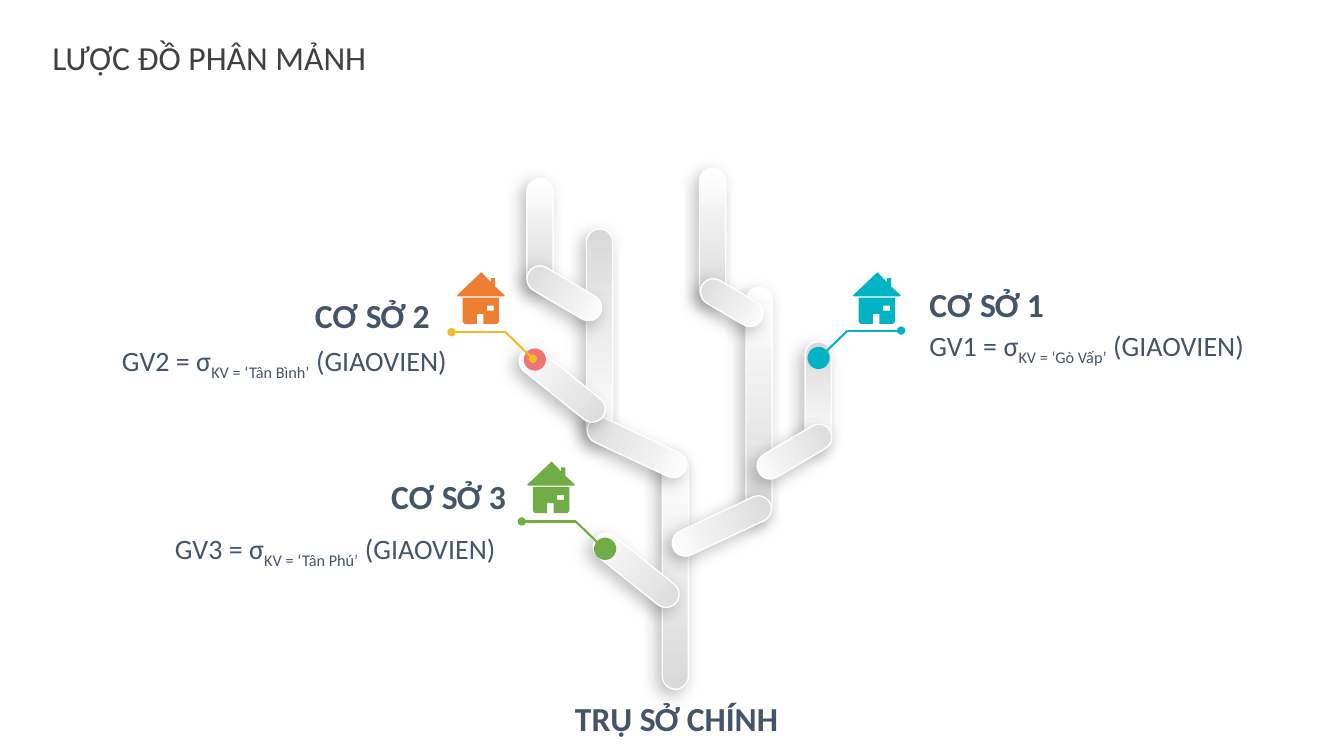
from dataclasses import dataclass

from lxml import etree
from pptx import Presentation
from pptx.dml.color import RGBColor
from pptx.enum.shapes import MSO_CONNECTOR, MSO_SHAPE
from pptx.enum.text import PP_ALIGN
from pptx.oxml.ns import qn
from pptx.util import Cm, Pt

LEFT, CENTER, RIGHT = PP_ALIGN.LEFT, PP_ALIGN.CENTER, PP_ALIGN.RIGHT
STRAIGHT = MSO_CONNECTOR.STRAIGHT
OVAL, ROUNDED = MSO_SHAPE.OVAL, MSO_SHAPE.ROUNDED_RECTANGLE


@dataclass(frozen=True)
class Theme:
    font: str = "Calibri"
    title: str = "404040"
    text: str = "445469"
    light: str = "FFFFFF"
    shade: str = "D9D9D9"
    shadow: str = "000000"
    teal: str = "02B3C5"
    coral: str = "F07474"
    yellow: str = "F1BE22"
    orange: str = "ED7D31"
    green: str = "70AD47"
    heading_size: int = 24
    formula_size: int = 20


THEME = Theme()

TREE_BOX = (13.2, 4.24)
BRANCH_WIDTH = 0.66
BRANCHES = [
    (3.49, 7.19, 5.94, 0, True),
    (2.5, 8.84, 2.59, 308.7, True),
    (1.58, 1.53, 5.31, 0, False),
    (2.52, 5.69, 2.69, 295.1, False),
    (5.6, 3.0, 5.84, 0, True),
    (4.66, 7.67, 2.69, 64.9, False),
    (4.43, 0, 3.38, 0, True),
    (4.91, 2.52, 1.73, 300.6, False),
    (7.09, 4.37, 2.67, 0, False),
    (6.49, 6.1, 2.08, 59.4, False),
    (0.08, 0.26, 2.79, 0, True),
    (0.69, 2.11, 2.08, 300.6, False),
    (0.64, 4.17, 2.59, 308.7, True),
]

HOUSE_UNIT = Cm(0.01)
ROOF = [(119, 61), (3, 61), (1, 58), (57, 5), (62, 0), (67, 5), (86, 25),
        (86, 15), (97, 15), (97, 36), (121, 58)]
WALLS = [(15, 64), (107, 64), (107, 125), (102, 130), (67, 130), (67, 105),
         (51, 105), (51, 130), (20, 130), (15, 125)]
WINDOW = [(94, 84), (76, 84), (76, 97), (94, 97)]

NODE_SIZE = 0.56
RIGHT_LEADER = [(-0.81, 2.13), (-0.13, 1.47), (1.22, 1.47)]
LEFT_LEADER = [(1.92, 2.18), (1.23, 1.51), (-0.13, 1.51)]
RIGHT_NODE, LEFT_NODE = (-0.86, 2.16), (1.97, 2.2)

CAMPUSES = [
    dict(box=(21.49, 6.86), number=1, area="Gò Vấp", align=LEFT,
         house=THEME.teal, wire=THEME.teal, dot=THEME.teal,
         leader=RIGHT_LEADER, node=RIGHT_NODE,
         heading=(1.93, 0.3), formula=(1.93, 1.42, 8.38, 0.86)),
    dict(box=(11.51, 6.86), number=2, area="Tân Bình", align=RIGHT,
         house=THEME.orange, wire=THEME.yellow, dot=THEME.coral,
         leader=LEFT_LEADER, node=LEFT_NODE,
         heading=(-6.12, 0.56), formula=(-10.26, 1.68, 10.26, 1.12)),
    dict(box=(13.28, 11.63), number=3, area="Tân Phú", align=RIGHT,
         house=THEME.green, wire=THEME.green, dot=THEME.green,
         leader=LEFT_LEADER, node=LEFT_NODE,
         heading=(-5.97, 0.36), formula=(-10.67, 1.63, 10.13, 1.12)),
]


def rgb(value):
    return RGBColor.from_string(value)


def add_label(slide, box, pieces, size, color, align=LEFT, bold=False, flush=True):
    frame = slide.shapes.add_textbox(*map(Cm, box)).text_frame
    frame.word_wrap = True
    if flush:
        frame.margin_left = frame.margin_right = 0
        frame.margin_top = frame.margin_bottom = 0
    paragraph = frame.paragraphs[0]
    paragraph.alignment = align
    font = paragraph.font
    font.name, font.size, font.bold = THEME.font, Pt(size), bold
    font.color.rgb = rgb(color)
    for words, baseline in pieces:
        run = paragraph.add_run()
        run.text = words
        if baseline:
            run._r.get_or_add_rPr().set("baseline", str(baseline * 1000))


def add_heading(slide, left, top, words, align):
    add_label(slide, (left, top, 5.44, 1.02), [(words, 0)],
              THEME.heading_size, THEME.text, align, bold=True)


def paint_flat(shape, color):
    shape.shadow.inherit = False
    shape.fill.solid()
    shape.fill.fore_color.rgb = rgb(color)
    shape.line.fill.background()


def cast_shadow(shape):
    effects = etree.SubElement(shape._element.spPr, qn("a:effectLst"))
    shadow = etree.SubElement(effects, qn("a:outerShdw"), blurRad=str(Pt(12)),
                              dist=str(Pt(5)), dir="8100000", rotWithShape="0")
    tint = etree.SubElement(shadow, qn("a:srgbClr"), val=THEME.shadow)
    etree.SubElement(tint, qn("a:alpha"), val="26000")


def add_tree(slide, box):
    for dx, dy, length, rotation, flipped in BRANCHES:
        branch = slide.shapes.add_shape(
            ROUNDED, Cm(box[0] + dx), Cm(box[1] + dy), Cm(BRANCH_WIDTH), Cm(length))
        branch.adjustments[0] = 0.5
        branch.rotation = rotation
        if flipped:
            branch._element.spPr.xfrm.set("flipV", "1")
        branch.fill.gradient()
        branch.fill.gradient_angle = 90
        for stop, color, position in zip(
                branch.fill.gradient_stops, (THEME.light, THEME.shade), (0, 1)):
            stop.color.rgb = rgb(color)
            stop.position = position
        branch.line.color.rgb = rgb(THEME.light)
        branch.line.width = Pt(1)
        cast_shadow(branch)


def add_wire(slide, start, end, color, oval_end):
    wire = slide.shapes.add_connector(STRAIGHT, *map(Cm, start + end))
    wire.line.color.rgb = rgb(color)
    wire.line.width = Pt(1.5)
    etree.SubElement(wire.line._get_or_add_ln(), qn(oval_end), type="oval")
    etree.SubElement(wire._element.spPr, qn("a:effectLst"))


def add_house(slide, left, top, color):
    builder = slide.shapes.build_freeform(*ROOF[0], scale=HOUSE_UNIT)
    builder.add_line_segments(ROOF[1:])
    for outline in (WALLS, WINDOW):
        builder.move_to(*outline[0])
        builder.add_line_segments(outline[1:])
    paint_flat(builder.convert_to_shape(Cm(left), Cm(top)), color)


def add_campus(slide, box, number, area, align, house, wire, dot, leader, node,
               heading, formula):
    left, top = box

    def placed(point):
        return left + point[0], top + point[1]

    center_x, center_y = placed(node)
    marker = slide.shapes.add_shape(
        OVAL, Cm(center_x - NODE_SIZE / 2), Cm(center_y - NODE_SIZE / 2),
        Cm(NODE_SIZE), Cm(NODE_SIZE))
    paint_flat(marker, dot)
    tip, elbow, end = map(placed, leader)
    add_wire(slide, tip, elbow, wire, "a:headEnd")
    add_wire(slide, elbow, end, wire, "a:tailEnd")
    add_house(slide, left, top, house)
    add_heading(slide, *placed(heading), f"CƠ SỞ {number}", align)
    pieces = [(f"GV{number} = σ", 0), (f"KV = ‘{area}’", -25), (" (GIAOVIEN)", 0)]
    add_label(slide, placed(formula) + formula[2:], pieces,
              THEME.formula_size, THEME.text, align, flush=align == LEFT)


def build_fragmentation_slide(deck):
    slide = deck.slides.add_slide(deck.slide_layouts[6])
    add_label(slide, (1.07, 0.81, 11.81, 1.27), [("LƯỢC ĐỒ PHÂN MẢNH", 0)],
              THEME.heading_size, THEME.title, flush=False)
    add_tree(slide, TREE_BOX)
    for campus in CAMPUSES:
        add_campus(slide, **campus)
    add_heading(slide, 14.33, 17.58, "TRỤ SỞ CHÍNH", CENTER)


deck = Presentation()
deck.slide_width, deck.slide_height = Cm(33.87), Cm(19.05)
build_fragmentation_slide(deck)
deck.save("out.pptx")
